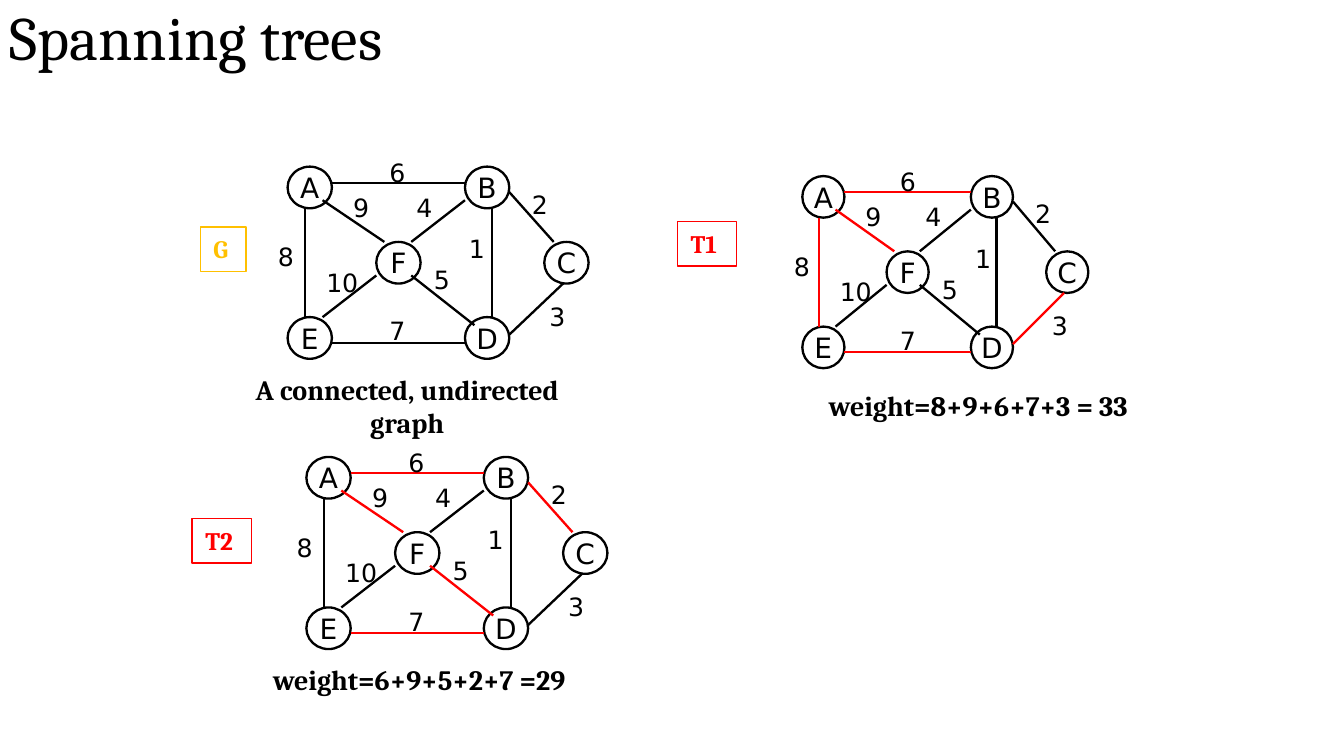
from dataclasses import dataclass

from pptx import Presentation
from pptx import util as u
from pptx.dml.color import RGBColor
from pptx.enum import shapes, text
from pptx.oxml.ns import qn
from lxml import etree


@dataclass(frozen=True)
class Theme:
    ink: str = "000000"
    tree: str = "FF0000"
    graph: str = "FFC000"
    serif: str = "Cambria"
    sans: str = "DejaVu Sans"
    title: float = 33
    body: float = 15
    label: float = 13.5
    edge: float = 1.25
    frame: float = 0.75


@dataclass(frozen=True)
class Edge:
    weight: int
    start: tuple[float, float]
    end: tuple[float, float]
    label: tuple[float, float]


@dataclass(frozen=True)
class Graph:
    left: float
    top: float
    x_scale: float
    tree: tuple[str, ...]
    caption: str
    caption_box: tuple[float, float, float, float]


@dataclass(frozen=True)
class Tag:
    name: str
    box: tuple[float, float, float, float]
    color: str


T = Theme()
NODE_W, NODE_H = 0.33, 0.31
LABEL_W, LABEL_H = 0.46, 0.33

NODES = {
    "A": (0, 0), "B": (1.32, 0), "E": (0, 1.12),
    "D": (1.32, 1.12), "F": (0.66, 0.56), "C": (1.91, 0.56),
}
EDGES = {
    "AB": Edge(6, (0.33, 0.12), (1.32, 0.12), (0.66, -0.12)),
    "AE": Edge(8, (0.13, 0.31), (0.13, 1.12), (-0.17, 0.51)),
    "AF": Edge(9, (0.26, 0.25), (0.72, 0.56), (0.39, 0.14)),
    "BF": Edge(4, (1.32, 0.25), (0.92, 0.56), (0.86, 0.14)),
    "EF": Edge(10, (0.26, 1.12), (0.66, 0.81), (0.19, 0.7)),
    "DF": Edge(5, (1.39, 1.18), (0.92, 0.81), (0.99, 0.68)),
    "ED": Edge(7, (0.33, 1.31), (1.32, 1.31), (0.66, 1.06)),
    "DC": Edge(3, (1.65, 1.25), (2.05, 0.87), (1.85, 0.95)),
    "BC": Edge(2, (1.65, 0.19), (1.98, 0.56), (1.72, 0.12)),
    "BD": Edge(1, (1.52, 0.31), (1.52, 1.12), (1.25, 0.45)),
}
GRAPHS = (
    Graph(2.14, 1.24, 1, (), "A connected, undirected graph", (1.54, 2.72, 2.98, 0.61)),
    Graph(5.97, 1.31, 0.95, ("AE", "AB", "ED", "AF", "DC"),
          "weight=8+9+6+7+3 = 33", (5.79, 2.84, 2.98, 0.35)),
    Graph(2.28, 3.4, 1, ("AB", "ED", "DF", "AF", "BC"),
          "weight=6+9+5+2+7 =29", (1.63, 4.88, 2.98, 0.35)),
)
TAGS = (
    Tag("G", (1.49, 1.69, 0.34, 0.33), T.graph),
    Tag("T1", (5.04, 1.65, 0.44, 0.33), T.tree),
    Tag("T2", (1.43, 3.86, 0.44, 0.33), T.tree),
)


def inches(values) -> list:
    return [u.Inches(v) for v in values]


def write(sp, content: str, font: str, size: float, color: str = T.ink,
          bold: bool = False, center: bool = False) -> None:
    tf = sp.text_frame
    tf.text = content
    p = tf.paragraphs[0]
    p.alignment = text.PP_ALIGN.CENTER if center else text.PP_ALIGN.LEFT
    r = p.runs[0]
    r.font.name = font
    r.font.size = u.Pt(size)
    r.font.bold = bold
    r.font.color.rgb = RGBColor.from_string(color)


def add_text(s, box, content: str, font: str, size: float, **style):
    sp = s.shapes.add_textbox(*inches(box))
    sp.text_frame.word_wrap = True
    write(sp, content, font, size, **style)
    return sp


def add_outline(s, kind, box, color: str, width: float):
    sp = s.shapes.add_shape(kind, *inches(box))
    sp.shadow.inherit = False
    sp.fill.background()
    sp.line.color.rgb = RGBColor.from_string(color)
    sp.line.width = u.Pt(width)
    return sp


def add_edge(s, start, end, color: str) -> None:
    line = s.shapes.add_connector(shapes.MSO_CONNECTOR.STRAIGHT, *inches((*start, *end)))
    line.line.color.rgb = RGBColor.from_string(color)
    line.line.width = u.Pt(T.edge)
    etree.SubElement(line._element.spPr, qn("a:effectLst"))


def add_graph(s, g: Graph) -> None:
    def place(point: tuple[float, float]) -> tuple[float, float]:
        return g.left + point[0] * g.x_scale, g.top + point[1]

    for name, point in NODES.items():
        box = (*place(point), NODE_W * g.x_scale, NODE_H)
        sp = add_outline(s, shapes.MSO_SHAPE.OVAL, box, T.ink, T.edge)
        write(sp, name, T.sans, T.body, center=True)
        sp.text_frame.word_wrap = False
        sp.text_frame.vertical_anchor = text.MSO_ANCHOR.MIDDLE
    for name, edge in EDGES.items():
        color = T.tree if name in g.tree else T.ink
        add_edge(s, place(edge.start), place(edge.end), color)
        box = (*place(edge.label), LABEL_W * g.x_scale, LABEL_H)
        sp = add_text(s, box, str(edge.weight), T.sans, T.label)
        sp.text_frame.margin_right = 0
    add_text(s, g.caption_box, g.caption, T.serif, T.body, bold=True, center=True)


def add_tag(s, tag: Tag) -> None:
    sp = add_outline(s, shapes.MSO_SHAPE.RECTANGLE, tag.box, tag.color, T.frame)
    write(sp, tag.name, T.serif, T.label, color=tag.color, bold=True)
    sp.text_frame.vertical_anchor = text.MSO_ANCHOR.TOP


def add_title(s) -> None:
    tf = add_text(s, (0, -0.05, 6.38, 0.63), "Spanning trees", T.serif, T.title).text_frame
    tf.margin_left = tf.margin_right = u.Inches(0.07)
    tf.margin_top = tf.margin_bottom = u.Inches(0.04)


def main() -> None:
    prs = Presentation()
    prs.slide_width = u.Inches(10)
    prs.slide_height = u.Inches(10 * 9 / 16)
    s = prs.slides.add_slide(prs.slide_layouts[6])
    for g in GRAPHS:
        add_graph(s, g)
    add_title(s)
    for tag in TAGS:
        add_tag(s, tag)
    prs.save("out.pptx")


if __name__ == "__main__":
    main()
